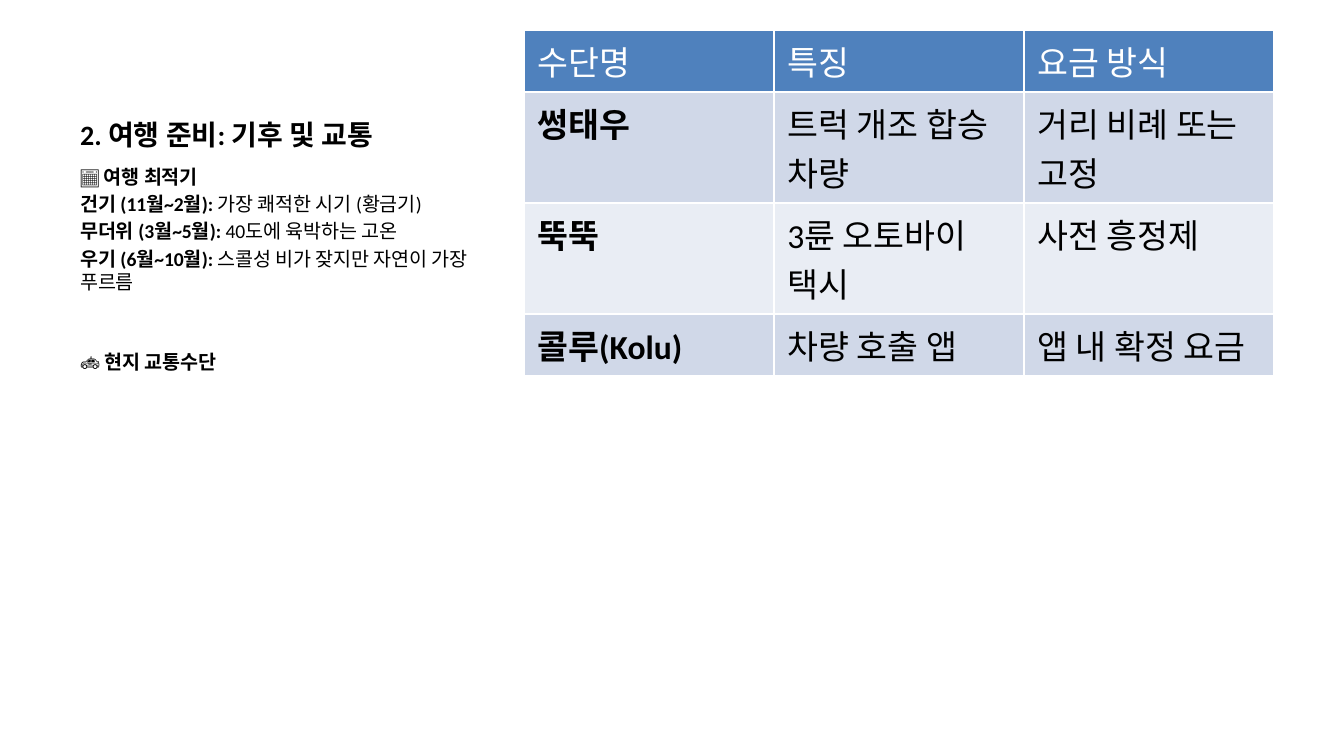
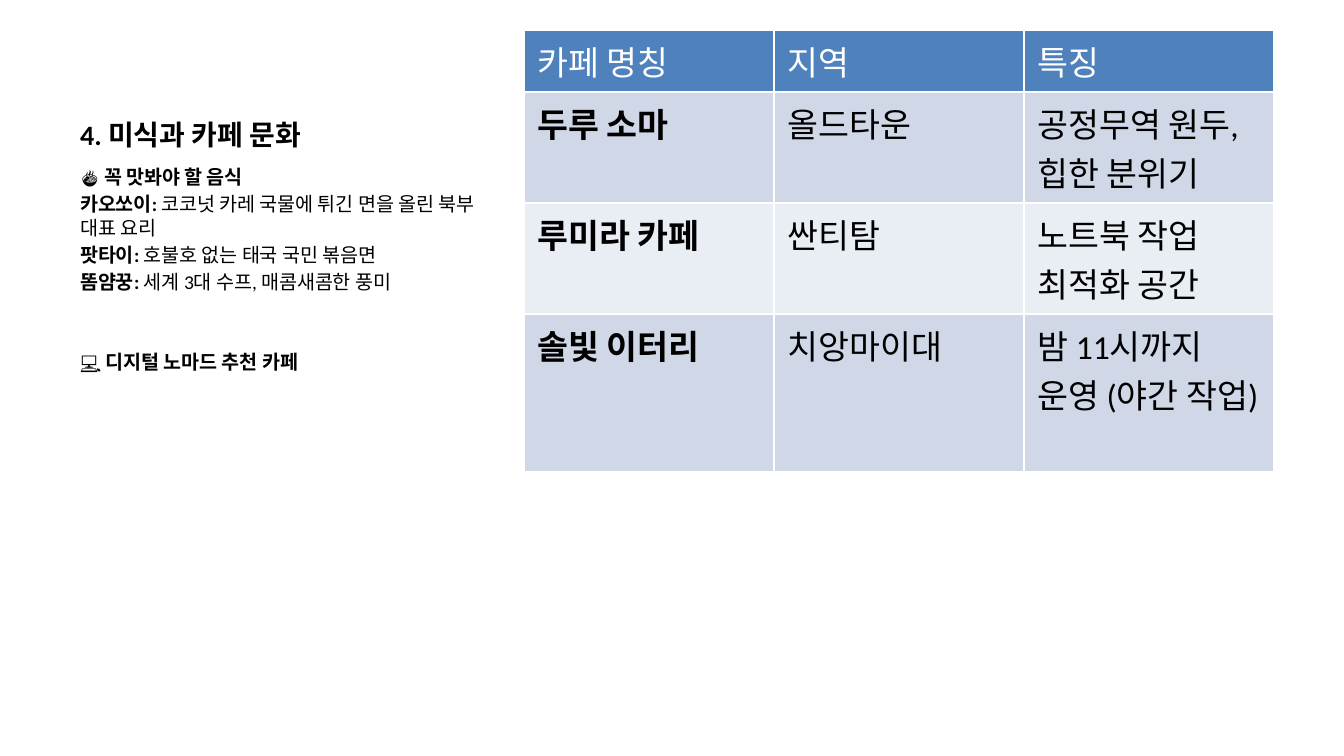
from lxml.etree import SubElement
from pptx import Presentation
from pptx.dml.color import RGBColor
from pptx.enum.text import MSO_ANCHOR
from pptx.oxml.ns import qn
from pptx.util import Emu, Pt

# Shared style
FONT = "Calibri"
COLORS = {
    "text": "000000",
    "white": "FFFFFF",
    "header": "4F81BD",
    "odd_row": "D0D8E8",
    "even_row": "E9EDF4",
}
PAGE_WIDTH, PAGE_HEIGHT = 1344, 756
TITLE_AREA = (67, 30, 442, 128)
BODY_AREA = (67, 158, 442, 518)
TABLE_LEFT, TABLE_TOP, TABLE_WIDTH = 524, 30, 750
ROW_HEIGHTS = {1: 62, 2: 111, 3: 158}  # by number of text lines
HEADING_GAP, ITEM_GAP = 30, 2.1

# Content: list items are (bold label, explanation)
PAGES = [
    {
        "title": "2. 여행 준비: 기후 및 교통",
        "list_heading": "📅 여행 최적기",
        "items": [
            ("건기 (11월~2월):", " 가장 쾌적한 시기 (황금기)"),
            ("무더위 (3월~5월):", " 40도에 육박하는 고온"),
            ("우기 (6월~10월):", " 스콜성 비가 잦지만 자연이 가장 푸르름"),
        ],
        "table_heading": "🚕 현지 교통수단",
        "table": [
            ("수단명", "특징", "요금 방식"),
            ("썽태우", "트럭 개조 합승 차량", "거리 비례 또는 고정"),
            ("뚝뚝", "3륜 오토바이 택시", "사전 흥정제"),
            ("콜루(Kolu)", "차량 호출 앱", "앱 내 확정 요금"),
        ],
        "row_lines": (1, 2, 2, 1),
    },
    {
        "title": "4. 미식과 카페 문화",
        "list_heading": "🍜 꼭 맛봐야 할 음식",
        "items": [
            ("카오쏘이:", " 코코넛 카레 국물에 튀긴 면을 올린 북부 대표 요리"),
            ("팟타이:", " 호불호 없는 태국 국민 볶음면"),
            ("똠얌꿍:", " 세계 3대 수프, 매콤새콤한 풍미"),
        ],
        "table_heading": "💻 디지털 노마드 추천 카페",
        "table": [
            ("카페 명칭", "지역", "특징"),
            ("두루 소마", "올드타운", "공정무역 원두, 힙한 분위기"),
            ("루미라 카페", "싼티탐", "노트북 작업 최적화 공간"),
            ("솔빛 이터리", "치앙마이대", "밤 11시까지 운영 (야간 작업)"),
        ],
        "row_lines": (1, 2, 2, 3),
    },
]


def px(length):
    return Emu(round(length * 914400 / 134.4))


def add_span(para, text, size=10.5, bold=False, color="text"):
    span = para.add_run()
    span.text = text
    span.font.name = FONT
    span.font.size = Pt(size)
    span.font.bold = bold
    span.font.color.rgb = RGBColor.from_string(COLORS[color])


def add_box(page, area, anchor=MSO_ANCHOR.TOP):
    frame = page.shapes.add_textbox(*map(px, area)).text_frame
    frame.word_wrap = True
    frame.vertical_anchor = anchor
    return frame


def add_title(page, text):
    frame = add_box(page, TITLE_AREA, MSO_ANCHOR.BOTTOM)
    add_span(frame.paragraphs[0], text, size=15, bold=True)


def add_body(page, content):
    frame = add_box(page, BODY_AREA)
    lines = [
        (HEADING_GAP, content["list_heading"], ""),
        *((ITEM_GAP, label, detail) for label, detail in content["items"]),
        (HEADING_GAP, content["table_heading"], ""),
    ]
    for index, (gap, label, detail) in enumerate(lines):
        para = frame.add_paragraph() if index else frame.paragraphs[0]
        para.space_before = Pt(gap)
        add_span(para, label, bold=True)
        if detail:
            add_span(para, detail)


def set_borders(cell):
    properties = cell._tc.get_or_add_tcPr()
    for side in "LRTB":
        line = SubElement(properties, qn(f"a:ln{side}"), w=str(Pt(1)))
        fill = SubElement(line, qn("a:solidFill"))
        SubElement(fill, qn("a:srgbClr"), val=COLORS["white"])


def add_table(page, rows, row_lines):
    heights = [ROW_HEIGHTS[count] for count in row_lines]
    area = (TABLE_LEFT, TABLE_TOP, TABLE_WIDTH, sum(heights))
    table = page.shapes.add_table(len(rows), len(rows[0]), *map(px, area)).table
    for row_index, (values, height) in enumerate(zip(rows, heights)):
        table.rows[row_index].height = px(height)
        is_header = row_index == 0
        fill = "header" if is_header else "odd_row" if row_index % 2 else "even_row"
        for column_index, value in enumerate(values):
            cell = table.cell(row_index, column_index)
            set_borders(cell)
            cell.fill.solid()
            cell.fill.fore_color.rgb = RGBColor.from_string(COLORS[fill])
            add_span(
                cell.text_frame.paragraphs[0],
                value,
                size=18,
                bold=not is_header and column_index == 0,
                color="white" if is_header else "text",
            )


def main():
    deck = Presentation()
    deck.slide_width, deck.slide_height = px(PAGE_WIDTH), px(PAGE_HEIGHT)
    for content in PAGES:
        page = deck.slides.add_slide(deck.slide_layouts[6])
        add_title(page, content["title"])
        add_body(page, content)
        add_table(page, content["table"], content["row_lines"])
    deck.save("out.pptx")


if __name__ == "__main__":
    main()
